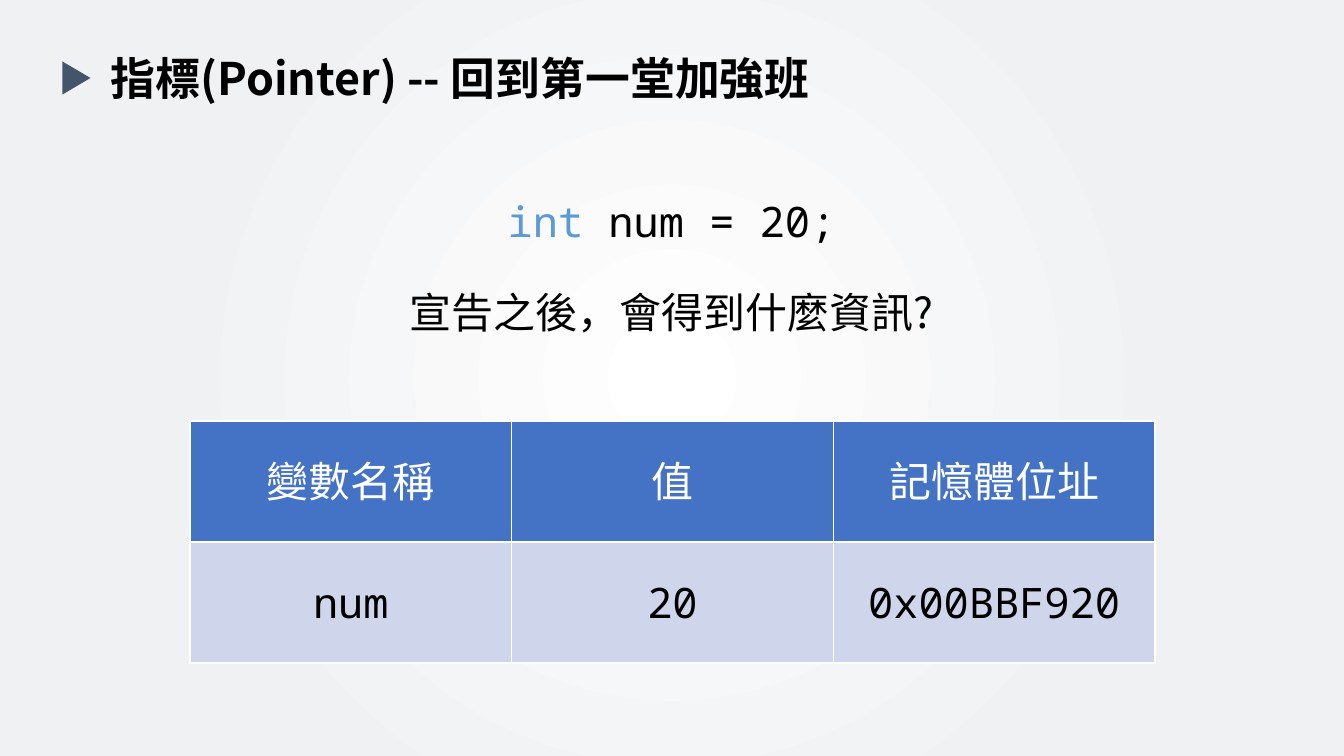
import pptx
import pptx.dml.color
import pptx.enum.shapes
import pptx.enum.text
import pptx.oxml
import pptx.oxml.ns
import pptx.util

COLORS = {
    "ink": "000000", "keyword": "5B9BD5", "marker": "44546A", "white": "FFFFFF",
    "header": "4472C4", "row": "CFD5EA", "backdrop": "F0F1F3",
}
SANS, MONO = "Noto Sans CJK SC", "Noto Sans Mono"
TITLE = "指標(Pointer) -- 回到第一堂加強班"
DECLARATION = [("int ", "keyword"), ("num = 20;", "ink")]
QUESTION = "宣告之後，會得到什麼資訊?"
VARIABLE_ROWS = [
    ("變數名稱", "值", "記憶體位址"),
    ("num", "20", "0x00BBF920"),
]
# left, top, width, height in px
TITLE_BOX = (101, 46, 1232, 65)
MARKER_BOX = (60, 64, 33, 28)
DECLARATION_BOX = (397, 191, 549, 163)
TABLE_BOX = (190, 421, 965, 242)

SCALE = 914400 / 100.8
NS = pptx.oxml.ns.nsdecls("a")
CENTER = pptx.enum.text.PP_ALIGN.CENTER


def emu(box):
    return [round(length * SCALE) for length in box]


def rgb(name):
    return pptx.dml.color.RGBColor.from_string(COLORS[name])


def add_run(paragraph, text, size, font, color, bold=False):
    run = paragraph.add_run()
    run.text = text
    run.font.size = pptx.util.Pt(size)
    run.font.name = font
    run.font.bold = bold
    run.font.color.rgb = rgb(color)
    run.font._element.append(pptx.oxml.parse_xml(f'<a:ea {NS} typeface="{font}"/>'))


def set_backdrop(slide):
    """Fill the background with a circular gradient from the centre."""
    slide.background.fill.gradient()
    gradient = slide._element.find(".//" + pptx.oxml.ns.qn("a:gradFill"))
    gradient.getparent().replace(gradient, pptx.oxml.parse_xml(
        f'<a:gradFill {NS} rotWithShape="1"><a:gsLst>'
        f'<a:gs pos="0"><a:srgbClr val="{COLORS["white"]}"/></a:gs>'
        f'<a:gs pos="67000"><a:srgbClr val="{COLORS["backdrop"]}"/></a:gs>'
        '</a:gsLst><a:path path="circle">'
        '<a:fillToRect l="50000" t="50000" r="50000" b="50000"/></a:path></a:gradFill>'))


def set_borders(cell):
    properties = cell._tc.get_or_add_tcPr()
    for position, side in enumerate(("lnL", "lnR", "lnT", "lnB")):
        properties.insert(position, pptx.oxml.parse_xml(
            f'<a:{side} {NS} w="12700"><a:solidFill>'
            f'<a:srgbClr val="{COLORS["white"]}"/></a:solidFill></a:{side}>'))


def add_title(slide):
    frame = slide.shapes.add_textbox(*emu(TITLE_BOX)).text_frame
    frame.word_wrap = True
    add_run(frame.paragraphs[0], TITLE, 32, SANS, "ink", bold=True)

    marker = slide.shapes.add_shape(
        pptx.enum.shapes.MSO_SHAPE.ISOSCELES_TRIANGLE, *emu(MARKER_BOX))
    marker.rotation = 90
    marker.shadow.inherit = False
    marker.fill.solid()
    marker.fill.fore_color.rgb = rgb("marker")
    marker.line.fill.background()


def add_declaration(slide):
    frame = slide.shapes.add_textbox(*emu(DECLARATION_BOX)).text_frame
    frame.word_wrap = False
    code = frame.paragraphs[0]
    for text, color in DECLARATION:
        add_run(code, text, 30, MONO, color)
    question = frame.add_paragraph()
    question.space_before = pptx.util.Pt(29)
    add_run(question, QUESTION, 30, SANS, "ink")
    code.alignment = question.alignment = CENTER


def add_variables(slide):
    table = slide.shapes.add_table(
        len(VARIABLE_ROWS), len(VARIABLE_ROWS[0]), *emu(TABLE_BOX)).table
    for row, values in enumerate(VARIABLE_ROWS):
        fill, ink = ("row", "ink") if row else ("header", "white")
        for column, value in enumerate(values):
            cell = table.cell(row, column)
            cell.fill.solid()
            cell.fill.fore_color.rgb = rgb(fill)
            cell.vertical_anchor = pptx.enum.text.MSO_ANCHOR.MIDDLE
            set_borders(cell)
            paragraph = cell.text_frame.paragraphs[0]
            paragraph.alignment = CENTER
            add_run(paragraph, value, 30, MONO, ink)


def main():
    deck = pptx.Presentation()
    deck.slide_width, deck.slide_height = emu((1344, 756))
    slide = deck.slides.add_slide(deck.slide_layouts[6])
    set_backdrop(slide)
    add_title(slide)
    add_declaration(slide)
    add_variables(slide)
    deck.save("out.pptx")


if __name__ == "__main__":
    main()
